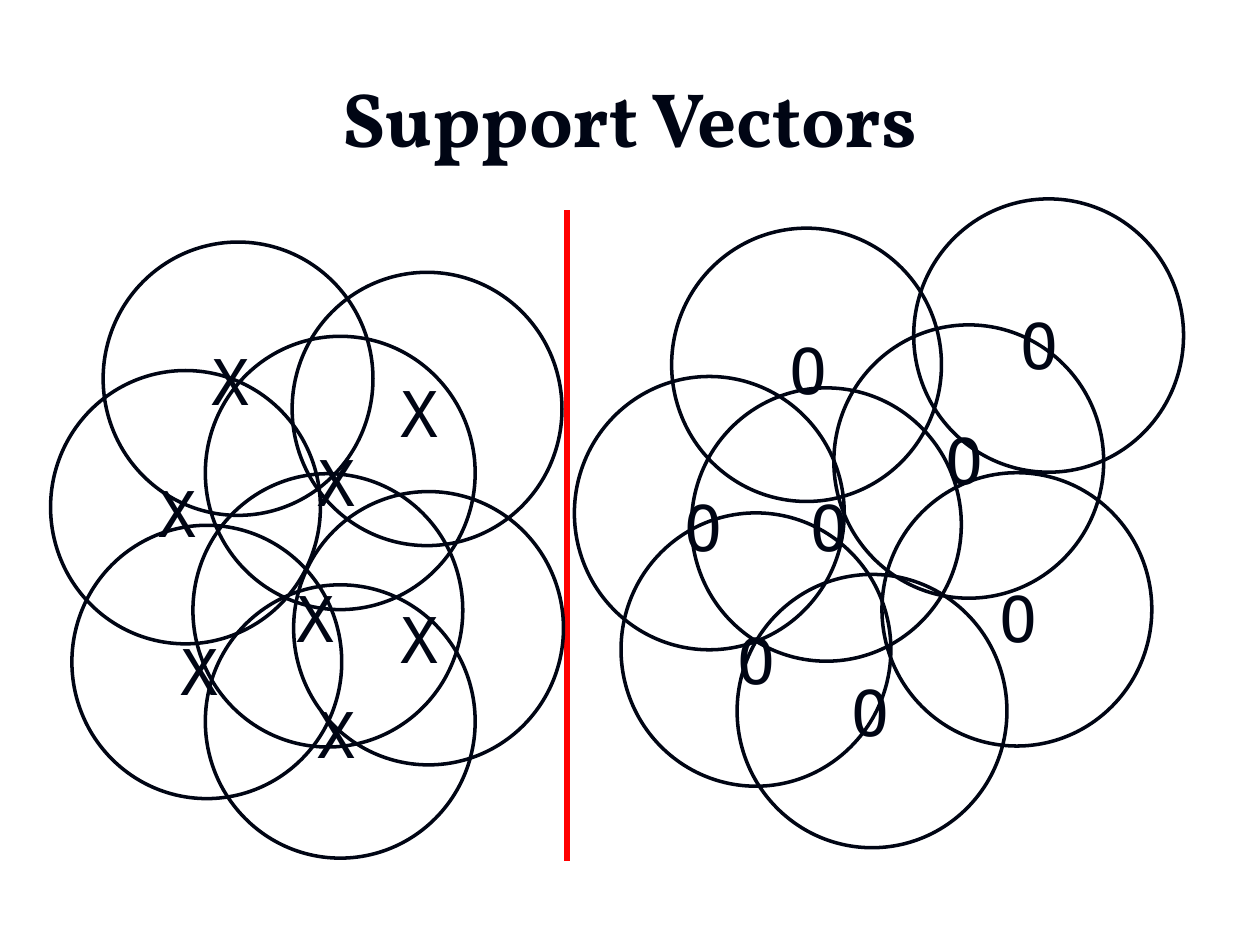
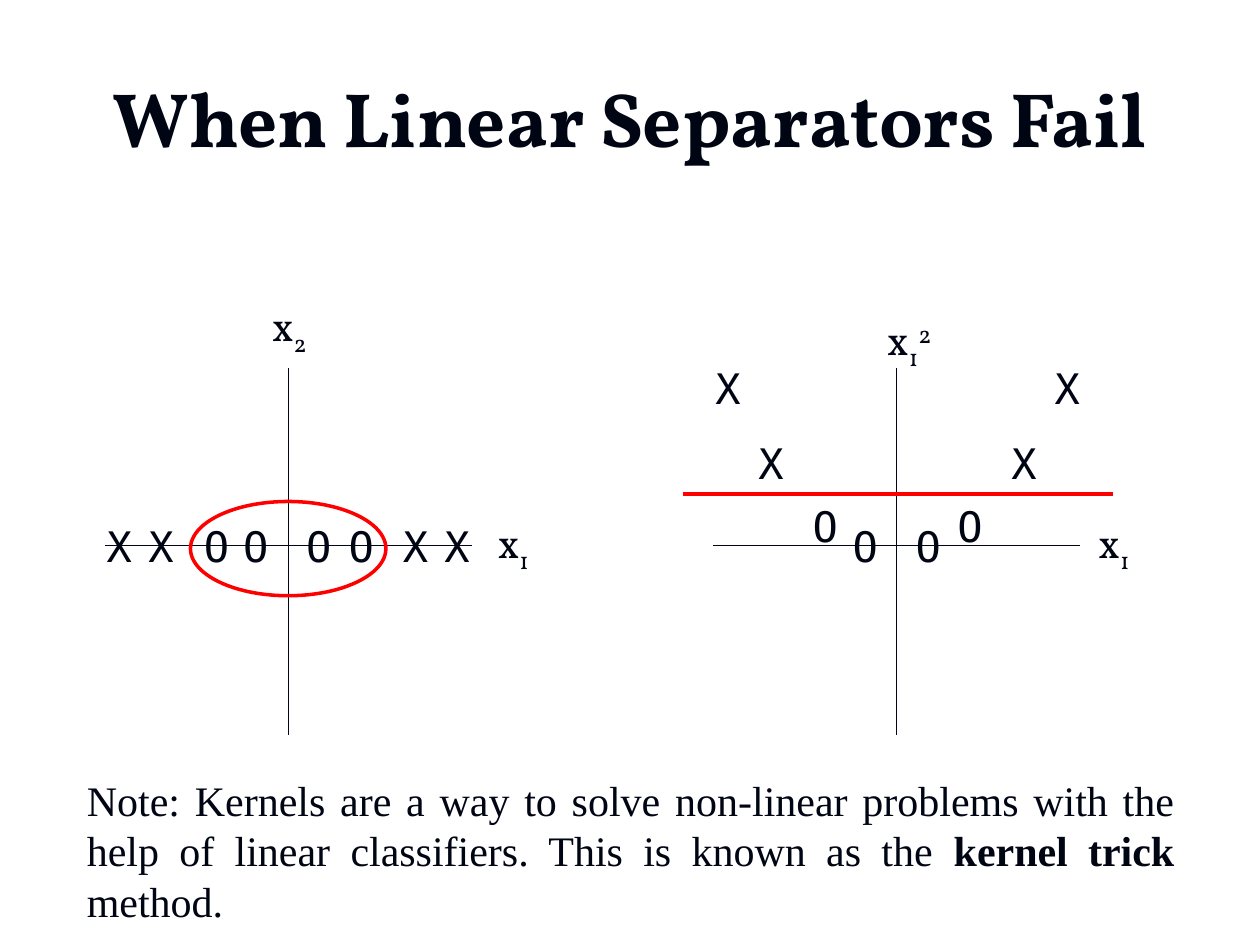
import pptx
import pptx.dml.color
import pptx.enum.shapes
import pptx.enum.text
import pptx.oxml.ns
import pptx.util
from lxml import etree

Cm = pptx.util.Cm
Pt = pptx.util.Pt
ALIGN = pptx.enum.text.PP_ALIGN

COLOURS = {"ink": "000514", "separator": "FF0000"}
FONTS = {"title": "Vollkorn", "mark": "DejaVu Sans Mono", "note": "Times New Roman"}

SUPPORT_TITLE = "Support Vectors"
CIRCLE = (5.44, 5.51)
SUPPORT_MARK = {"size": 36, "width": 1.27, "height": 1.78}
# mark corner, circle corner
SUPPORT_POINTS = {
    "X": [
        ((7.82, 7.42), (5.89, 5.49)),
        ((7.82, 11.99), (5.92, 9.91)),
        ((6.15, 8.81), (4.14, 6.78)),
        ((5.72, 11.56), (3.89, 9.55)),
        ((6.15, 13.89), (4.14, 11.79)),
        ((4.01, 6.78), (2.08, 4.88)),
        ((2.95, 9.45), (1.02, 7.47)),
        ((3.38, 12.62), (1.45, 10.59)),
    ],
    "O": [
        ((13.54, 9.73), (11.58, 7.59)),
        ((14.61, 12.4), (12.52, 10.34)),
        ((16.92, 13.46), (14.86, 11.58)),
        ((16.08, 9.73), (13.94, 7.82)),
        ((15.67, 6.55), (13.54, 4.6)),
        ((18.82, 8.38), (16.81, 6.55)),
        ((19.89, 11.56), (17.78, 9.53)),
        ((20.32, 6.05), (18.42, 4.01)),
    ],
}

KERNEL_TITLE = "When Linear Separators Fail"
KERNEL_MARK = {"size": 24, "width": 1.02, "height": 1.27}
AXIS_CENTRES = (5.82, 18.08)
AXIS_LEVEL = 11.0
AXIS_TOP, AXIS_BOTTOM = 7.42, 14.81
AXIS_HALF = 3.7
ROW = 10.36
KERNEL_POINTS = {
    "X": [(left, ROW) for left in (1.9, 2.74, 7.87, 8.71)]
    + [(14.17, 7.19), (15.04, 8.69), (20.14, 8.69), (21.01, 7.19)],
    "O": [(left, ROW) for left in (3.86, 4.65, 5.92, 6.78)]
    + [(16.13, 9.96), (16.94, ROW), (18.21, ROW), (19.05, 9.96)],
}
X_ONE = [("x", {}), ("1", {"baseline": -25})]
AXIS_LABELS = [
    (X_ONE, 9.78, 10.29, 1.24),
    ([("x", {}), ("2", {"baseline": -25})], 5.23, 5.92, 1.24),
    (X_ONE, 21.89, 10.29, 1.24),
    (X_ONE + [("2", {"baseline": 30})], 17.63, 6.2, 1.55),
]
NOTE = [
    ("Note: Kernels are a way to solve non-linear problems with the help of "
     "linear classifiers. This is known as the ", {}),
    ("kernel trick", {"bold": True}),
    (" method.", {}),
]


def colour(name):
    return pptx.dml.color.RGBColor.from_string(COLOURS[name])


def add_text(page, text, left, top, width, height, font="mark", size=24,
             bold=False, align=ALIGN.LEFT, wrap=False, middle=False):
    box = page.shapes.add_textbox(Cm(left), Cm(top), Cm(width), Cm(height))
    frame = box.text_frame
    frame.word_wrap = wrap
    if middle:
        frame.vertical_anchor = pptx.enum.text.MSO_ANCHOR.MIDDLE
    para = frame.paragraphs[0]
    para.alignment = align
    spans = [(text, {})] if isinstance(text, str) else text
    for words, style in spans:
        span = para.add_run()
        span.text = words
        span.font.name = FONTS[font]
        span.font.size = Pt(size)
        span.font.bold = style.get("bold", bold)
        span.font.color.rgb = colour("ink")
        if "baseline" in style:
            span._r.get_or_add_rPr().set("baseline", str(style["baseline"] * 1000))


def add_line(page, start, end, weight, name="ink"):
    line = page.shapes.add_connector(
        pptx.enum.shapes.MSO_CONNECTOR.STRAIGHT,
        Cm(start[0]), Cm(start[1]), Cm(end[0]), Cm(end[1]))
    line.line.color.rgb = colour(name)
    line.line.width = Pt(weight)
    etree.SubElement(line._element.spPr, pptx.oxml.ns.qn("a:effectLst"))


def add_ellipse(page, left, top, width, height, name="ink"):
    ellipse = page.shapes.add_shape(
        pptx.enum.shapes.MSO_SHAPE.OVAL, Cm(left), Cm(top), Cm(width), Cm(height))
    ellipse.shadow.inherit = False
    ellipse.fill.background()
    ellipse.line.color.rgb = colour(name)
    ellipse.line.width = Pt(2)


def add_page(deck, title):
    page = deck.slides.add_slide(deck.slide_layouts[6])
    add_text(page, title, 1.27, 0.76, 22.86, 3.18, font="title", size=44,
             bold=True, align=ALIGN.CENTER, wrap=True, middle=True)
    return page


def build_support_vectors(deck):
    page = add_page(deck, SUPPORT_TITLE)
    add_line(page, (11.43, 4.24), (11.43, 17.35), 4, "separator")
    for symbol, points in SUPPORT_POINTS.items():
        for mark, circle in points:
            add_text(page, symbol, *mark, **SUPPORT_MARK)
            add_ellipse(page, *circle, *CIRCLE)


def build_kernel_trick(deck):
    page = add_page(deck, KERNEL_TITLE)
    for centre in AXIS_CENTRES:
        add_line(page, (centre, AXIS_TOP), (centre, AXIS_BOTTOM), 0.75)
        add_line(page, (centre - AXIS_HALF, AXIS_LEVEL),
                 (centre + AXIS_HALF, AXIS_LEVEL), 0.75)
    for symbol, points in KERNEL_POINTS.items():
        for mark in points:
            add_text(page, symbol, *mark, **KERNEL_MARK)
    for label, left, top, width in AXIS_LABELS:
        add_text(page, label, left, top, width, 1.27, font="title")
    add_line(page, (13.77, 9.96), (22.43, 9.96), 2, "separator")
    add_ellipse(page, 3.84, 10.11, 3.94, 1.9, "separator")
    add_text(page, NOTE, 1.5, 15.49, 22.43, 3.33, font="note",
             align=ALIGN.JUSTIFY, wrap=True)


def main():
    deck = pptx.Presentation()
    deck.slide_width, deck.slide_height = Cm(25.4), Cm(19.05)
    build_support_vectors(deck)
    build_kernel_trick(deck)
    deck.save("out.pptx")


if __name__ == "__main__":
    main()
